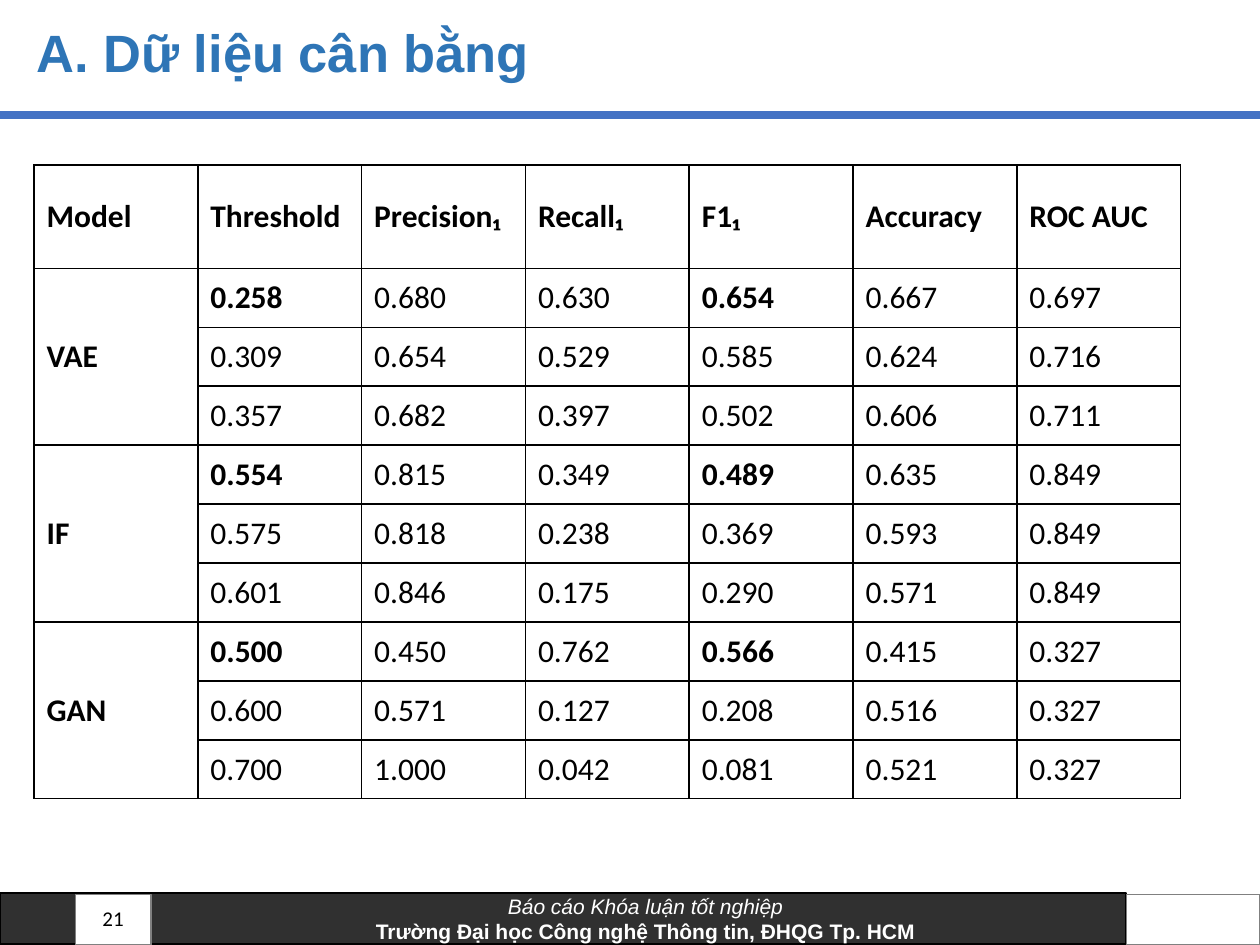
from lxml import etree
from pptx import Presentation
from pptx.dml.color import RGBColor
from pptx.enum.shapes import MSO_CONNECTOR as Connector, MSO_SHAPE as Shape
from pptx.enum.text import MSO_ANCHOR as Anchor, PP_ALIGN as Align
from pptx.oxml.ns import qn
from pptx.util import Inches, Pt

HEADERS = ["Model", "Threshold", "Precision₁", "Recall₁", "F1₁", "Accuracy", "ROC AUC"]
RESULTS = {
    "VAE": [
        ["0.258", "0.680", "0.630", "0.654", "0.667", "0.697"],
        ["0.309", "0.654", "0.529", "0.585", "0.624", "0.716"],
        ["0.357", "0.682", "0.397", "0.502", "0.606", "0.711"],
    ],
    "IF": [
        ["0.554", "0.815", "0.349", "0.489", "0.635", "0.849"],
        ["0.575", "0.818", "0.238", "0.369", "0.593", "0.849"],
        ["0.601", "0.846", "0.175", "0.290", "0.571", "0.849"],
    ],
    "GAN": [
        ["0.500", "0.450", "0.762", "0.566", "0.415", "0.327"],
        ["0.600", "0.571", "0.127", "0.208", "0.516", "0.327"],
        ["0.700", "1.000", "0.042", "0.081", "0.521", "0.327"],
    ],
}
BOLD_COLUMNS = ("Threshold", "F1₁")


def color(value):
    return RGBColor.from_string(value)


def add_span(para, text, size, font="Calibri", fill="000000", bold=False, italic=False):
    span = para.add_run()
    span.text = text
    span.font.name, span.font.size = font, Pt(size)
    span.font.bold, span.font.italic = bold, italic
    span.font.color.rgb = color(fill)


def add_rect(page, left, top, width, height, fill, line):
    box = page.shapes.add_shape(
        Shape.RECTANGLE, Inches(left), Inches(top), Inches(width), Inches(height))
    box.shadow.inherit = False
    box.fill.solid()
    box.fill.fore_color.rgb = color(fill)
    box.line.color.rgb = color(line)
    box.line.width = Pt(1)
    return box


def add_footer(page, left, top, width, height):
    # Translucent bar with the report name and the school
    end_width = 1.06
    bar = add_rect(page, left, top, width - end_width, height, "000000", "000000")
    tint = bar.fill._xPr.find(qn("a:solidFill"))[0]
    etree.SubElement(tint, qn("a:alpha"), val="81000")
    frame = bar.text_frame
    frame.word_wrap = True
    frame.vertical_anchor = Anchor.MIDDLE
    frame.margin_left = frame.margin_right = Inches(0.15)
    frame.margin_top = frame.margin_bottom = Inches(0.07)
    lines = [("Báo cáo Khóa luận tốt nghiệp", False),
             ("Trường Đại học Công nghệ Thông tin, ĐHQG Tp. HCM", True)]
    for index, (text, bold) in enumerate(lines):
        para = frame.add_paragraph() if index else frame.paragraphs[0]
        para.alignment = Align.CENTER
        para._p.get_or_add_pPr().set("marL", str(Inches(1.31)))
        add_span(para, text, 12, "Arial", "FFFFFF", bold=bold, italic=not bold)

    # White boxes for the page number and the right end
    for box_left, box_width in ((left + 0.6, 0.6), (left + width - end_width, end_width)):
        add_rect(page, box_left, top + 0.01, box_width, height, "FFFFFF", "808080")

    # Page number
    number = page.shapes.add_textbox(
        Inches(left + 0.64), Inches(top), Inches(0.44), Inches(height))
    number.text_frame.word_wrap = True
    number.text_frame.vertical_anchor = Anchor.MIDDLE
    para = number.text_frame.paragraphs[0]
    para.alignment = Align.RIGHT
    add_span(para, "21", 12)


def add_title(page, left, top, width, height):
    title = page.shapes.title
    title.left, title.top = Inches(left), Inches(top)
    title.width, title.height = Inches(width), Inches(height)
    title.text_frame.word_wrap = True
    title.text_frame.vertical_anchor = Anchor.MIDDLE
    para = title.text_frame.paragraphs[0]
    para.alignment = Align.LEFT
    para.line_spacing = 0.9
    add_span(para, "A. Dữ liệu cân bằng", 30, "Arial", "2E75B6", bold=True)

    # Rule across the page under the title
    rule = page.shapes.add_connector(
        Connector.STRAIGHT, 0, Inches(0.91), Inches(10), Inches(0.91))
    rule.line.color.rgb = color("4472C4")
    rule.line.width = Pt(4.5)
    etree.SubElement(rule._element.spPr, qn("a:effectLst"))


def add_borders(cell):
    properties = cell._tc.get_or_add_tcPr()
    for index, side in enumerate(("a:lnL", "a:lnR", "a:lnT", "a:lnB")):
        line = etree.Element(qn(side), w=str(Pt(1)))
        fill = etree.SubElement(line, qn("a:solidFill"))
        etree.SubElement(fill, qn("a:srgbClr"), val="000000")
        properties.insert(index, line)


def fill_cell(cell, text, bold):
    cell.fill.background()
    cell.vertical_anchor = Anchor.MIDDLE
    add_borders(cell)
    if text:
        add_span(cell.text_frame.paragraphs[0], text, 18, bold=bold)


def add_results(page, left, top, width, height):
    # Each model name stands once, beside its group of thresholds
    rows = [HEADERS]
    for model, group in RESULTS.items():
        rows += [[model if index == 0 else ""] + values
                 for index, values in enumerate(group)]
    table = page.shapes.add_table(
        len(rows), len(HEADERS), Inches(left), Inches(top),
        Inches(width), Inches(height)).table
    table.first_row = table.horz_banding = False
    for column in table.columns:
        column.width = Inches(width / len(HEADERS))
    header_height = 0.82
    row_height = (height - header_height) / (len(rows) - 1)
    for index, row in enumerate(table.rows):
        row.height = Inches(row_height if index else header_height)

    # The first row of each group has the best threshold and F1 in bold
    for row, values in enumerate(rows):
        for column, text in enumerate(values):
            best = values[0] and HEADERS[column] in BOLD_COLUMNS
            bold = bool(row == 0 or column == 0 or best)
            fill_cell(table.cell(row, column), text, bold)

    first = 1
    for group in RESULTS.values():
        last = first + len(group) - 1
        table.cell(first, 0).merge(table.cell(last, 0))
        first = last + 1


def main():
    deck = Presentation()
    deck.slide_width, deck.slide_height = Inches(10), Inches(7.5)
    page = deck.slides.add_slide(deck.slide_layouts[5])
    add_footer(page, 0, 7.09, 10, 0.4)
    add_title(page, 0.19, 0.16, 8.98, 0.56)
    add_results(page, 0.27, 1.31, 9.1, 5.03)
    deck.save("out.pptx")


if __name__ == "__main__":
    main()
